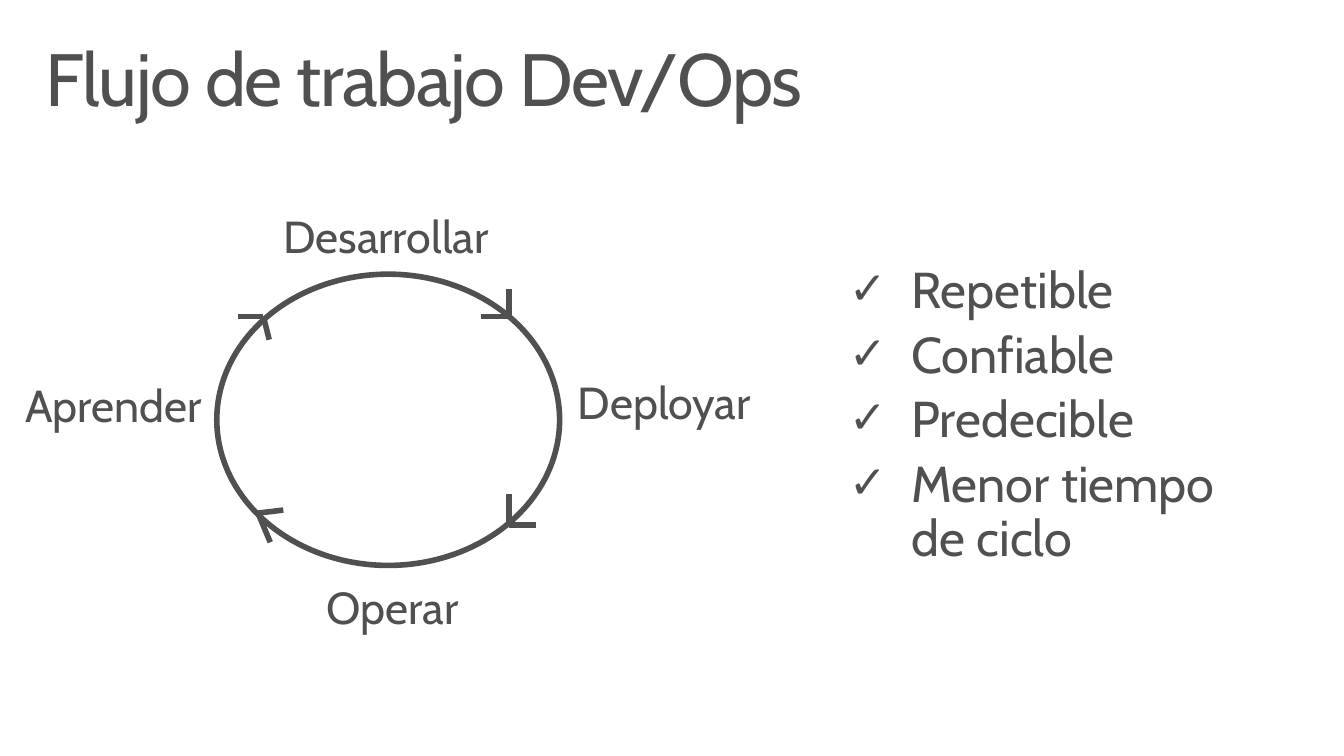
from typing import NamedTuple

from lxml import etree
from pptx import Presentation
from pptx.dml.color import RGBColor
from pptx.enum.shapes import MSO_CONNECTOR, MSO_SHAPE
from pptx.enum.text import MSO_ANCHOR, MSO_AUTO_SIZE, PP_ALIGN
from pptx.oxml.ns import qn
from pptx.util import Inches, Pt

GREY = RGBColor(0x50, 0x50, 0x50)
WHITE = RGBColor(0xFF, 0xFF, 0xFF)
FONT = "Cabin"
STROKE = Pt(4)
OVAL = MSO_SHAPE.OVAL
LINE = MSO_CONNECTOR.STRAIGHT
TOP = MSO_ANCHOR.TOP
LEFT = PP_ALIGN.LEFT
FIXED = MSO_AUTO_SIZE.NONE
GROW = MSO_AUTO_SIZE.SHAPE_TO_FIT_TEXT

# The grid has 100 columns and 100 rows.
WIDTH, HEIGHT = Inches(13.33), Inches(7.5)
COL, ROW = WIDTH / 100, HEIGHT / 100


class Point(NamedTuple):
    col: float
    row: float


class Box(NamedTuple):
    col: float
    row: float
    cols: float
    rows: float


class Label(NamedTuple):
    text: str
    box: Box


class Arrow(NamedTuple):
    tip: Point
    ends: tuple[Point, Point]


TITLE = Label("Flujo de trabajo Dev/Ops", Box(2.18, 4.27, 95.57, 13.07))
CYCLE = Box(16.13, 36.27, 25.51, 38.53)
STEPS = [
    Label("Desarrollar", Box(21.08, 28.4, 16.05, 6.4)),
    Label("Deployar", Box(42.99, 50.4, 13.43, 6.4)),
    Label("Operar", Box(24.31, 77.47, 10.35, 6.4)),
    Label("Aprender", Box(1.88, 50.8, 13.88, 6.4)),
]
ARROWS = [
    Arrow(Point(37.88, 41.87), (Point(37.88, 38.27), Point(35.78, 41.87))),
    Arrow(Point(37.88, 69.47), (Point(39.91, 69.47), Point(37.88, 65.33))),
    Arrow(Point(19.2, 67.87), (Point(20.11, 71.73), Point(21.08, 67.47))),
    Arrow(Point(19.6, 41.87), (Point(17.7, 41.87), Point(20.03, 44.93))),
]
GAINS = Label("Repetible\nConfiable\nPredecible\nMenor tiempo de ciclo",
              Box(61.89, 33.73, 32.56, 43.87))


def scale(box: Box) -> tuple[int, int, int, int]:
    return (round(box.col * COL), round(box.row * ROW),
            round(box.cols * COL), round(box.rows * ROW))


def spot(point: Point) -> tuple[int, int]:
    return round(point.col * COL), round(point.row * ROW)


def write(shape, text: str, size: float, pad: tuple[float, float], fit) -> None:
    """Fill a shape with styled text; pad is the side and top inset in inches."""
    frame = shape.text_frame
    frame.text = text
    frame.auto_size = fit
    frame.vertical_anchor = TOP
    frame.margin_left = frame.margin_right = Inches(pad[0])
    frame.margin_top = frame.margin_bottom = Inches(pad[1])
    for para in frame.paragraphs:
        para.alignment = LEFT
        para.line_spacing = 0.9
        para.space_before = Pt(0)
        for run in para.runs:
            run.font.name = FONT
            run.font.size = Pt(size)
            run.font.color.rgb = GREY


def fill_holder(holder, label: Label, size: float) -> None:
    holder.left, holder.top, holder.width, holder.height = scale(label.box)
    write(holder, label.text, size, (0.16, 0.1), FIXED)
    holder.text_frame.word_wrap = True


def add_ticks(holder) -> None:
    for place, para in enumerate(holder.text_frame.paragraphs):
        props = para._p.get_or_add_pPr()
        props.set("marL", str(Inches(0.63)))
        props.set("indent", str(Inches(-0.62)))
        etree.SubElement(props, qn("a:buSzPct")).set("val", "90000")
        etree.SubElement(props, qn("a:buChar")).set("char", "✓")
        if place:
            para.space_before = Pt(7.2)


def draw_cycle(slide) -> None:
    ring = slide.shapes.add_shape(OVAL, *scale(CYCLE))
    ring.shadow.inherit = False
    ring.fill.solid()
    ring.fill.fore_color.rgb = WHITE
    ring.line.color.rgb = GREY
    ring.line.width = STROKE


def draw_step(slide, step: Label) -> None:
    box = slide.shapes.add_textbox(*scale(step.box))
    write(box, step.text, 32, (0, 0), GROW)
    box.text_frame.word_wrap = False


def draw_arrow(slide, arrow: Arrow) -> None:
    for end in arrow.ends:
        barb = slide.shapes.add_connector(LINE, *spot(arrow.tip), *spot(end))
        barb.line.color.rgb = GREY
        barb.line.width = STROKE
        etree.SubElement(barb._element.spPr, qn("a:effectLst"))


def main() -> None:
    deck = Presentation()
    deck.slide_width, deck.slide_height = WIDTH, HEIGHT
    slide = deck.slides.add_slide(deck.slide_layouts[1])
    title, body = slide.shapes.title, slide.placeholders[1]

    fill_holder(title, TITLE, 52.9)
    for run in title.text_frame.paragraphs[0].runs:
        run.font._element.set("spc", "-100")

    draw_cycle(slide)
    for step in STEPS:
        draw_step(slide, step)
    for arrow in ARROWS:
        draw_arrow(slide, arrow)

    fill_holder(body, GAINS, 36)
    add_ticks(body)
    deck.save("out.pptx")


if __name__ == "__main__":
    main()
